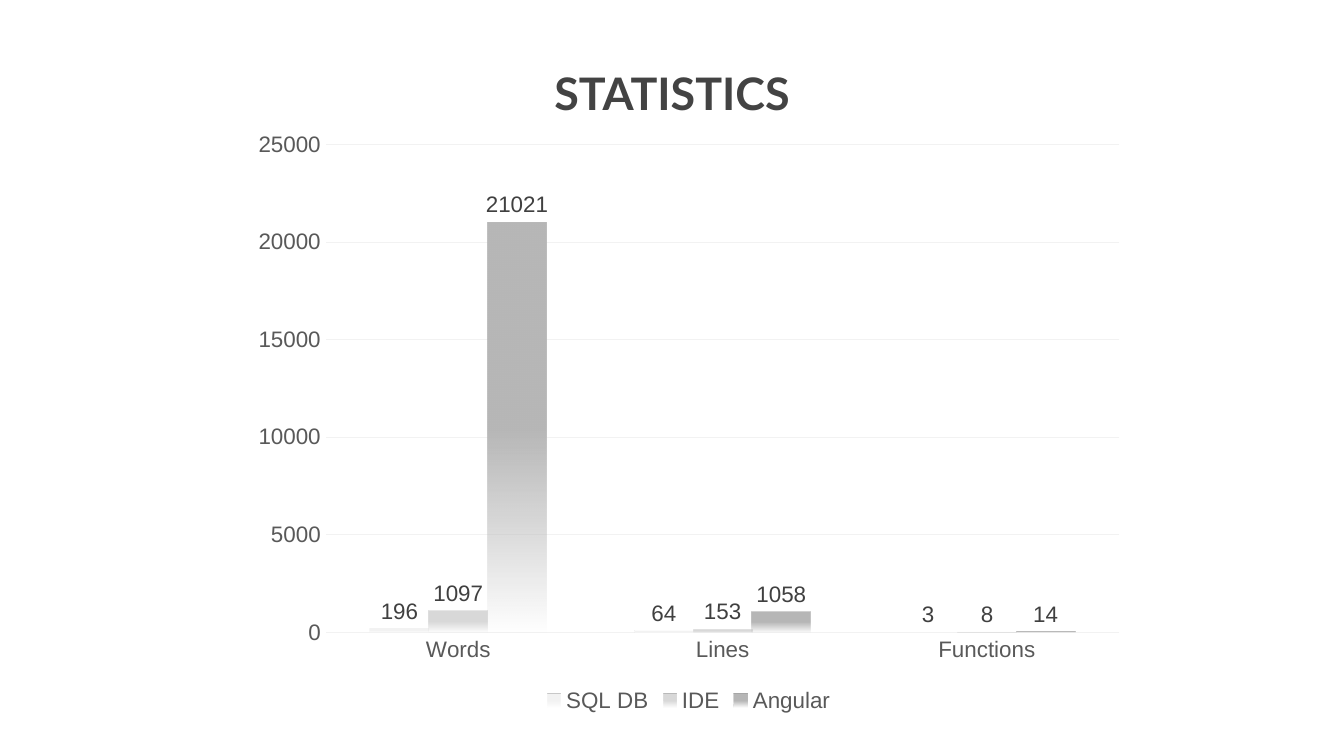
"""Build a statistics slide with a clustered column chart."""
from lxml.etree import SubElement
from pptx import Presentation
from pptx.chart.data import CategoryChartData
from pptx.dml.color import RGBColor
from pptx.enum.chart import XL_CHART_TYPE, XL_LABEL_POSITION, XL_LEGEND_POSITION, XL_TICK_MARK
from pptx.enum.text import MSO_ANCHOR, PP_ALIGN
from pptx.oxml.ns import qn
from pptx.util import Inches, Pt

TITLE = "STATISTICS"
CATEGORIES = ["Words", "Lines", "Functions"]
SERIES = [
    ("SQL DB", (196, 64, 3), "F3F3F3"),
    ("IDE", (1097, 153, 8), "D9D9D9"),
    ("Angular", (21021, 1058, 14), "B7B7B7"),
]
THEME = {
    "title_font": "Lato", "title_size": 24, "title": "434343",
    "font": "Arial", "size": 12, "axis": "595959", "label": "404040",
    "grid": "F2F2F2",
}


def style(font, name, size, color, bold=False):
    font.name, font.size, font.bold = name, Pt(size), bold
    font.color.rgb = RGBColor.from_string(color)


def add_title(s):
    tf = s.shapes.add_textbox(Inches(2.15), Inches(0.39), Inches(5.7), Inches(1.03)).text_frame
    tf.word_wrap = True
    tf.vertical_anchor = MSO_ANCHOR.TOP
    tf.margin_left = tf.margin_right = tf.margin_top = tf.margin_bottom = Inches(0.1)
    p = tf.paragraphs[0]
    p.text = TITLE
    p.alignment = PP_ALIGN.CENTER
    style(p.runs[0].font, THEME["title_font"], THEME["title_size"], THEME["title"], True)


def fade(ser, color):
    fill = ser.format.fill
    fill.gradient()
    fill.gradient_angle = 270
    for stop, position in zip(fill.gradient_stops, (0.5, 1)):
        stop.position = position
        stop.color.rgb = RGBColor.from_string(color)
    clr = list(ser._element.find(qn("c:spPr")).iter(qn("a:srgbClr")))[-1]
    SubElement(clr, qn("a:alpha")).set("val", "0")


def add_chart(s):
    data = CategoryChartData()
    data.categories = CATEGORIES
    for name, values, _ in SERIES:
        data.add_series(name, values)
    chart = s.shapes.add_chart(
        XL_CHART_TYPE.COLUMN_CLUSTERED,
        Inches(1.79), Inches(0.9), Inches(6.67), Inches(4.44), data,
    ).chart
    chart.has_title = False
    style(chart.font, THEME["font"], THEME["size"], THEME["axis"])

    chart.has_legend = True
    chart.legend.position = XL_LEGEND_POSITION.BOTTOM
    chart.legend.include_in_layout = False
    style(chart.legend.font, THEME["font"], THEME["size"], THEME["axis"])

    for axis in (chart.category_axis, chart.value_axis):
        axis.major_tick_mark = axis.minor_tick_mark = XL_TICK_MARK.NONE
        axis.format.line.fill.background()
        style(axis.tick_labels.font, THEME["font"], THEME["size"], THEME["axis"])
    axis = chart.value_axis
    axis.minimum_scale, axis.maximum_scale, axis.major_unit = 0, 25000, 5000
    line = axis.major_gridlines.format.line
    line.width = Pt(0.75)
    line.color.rgb = RGBColor.from_string(THEME["grid"])

    plot = chart.plots[0]
    plot.gap_width, plot.overlap, plot.vary_by_categories = 150, 0, False
    for ser, (_, _, color) in zip(plot.series, SERIES):
        fade(ser, color)
        labels = ser.data_labels
        labels.show_value = True
        labels.position = XL_LABEL_POSITION.OUTSIDE_END
        style(labels.font, THEME["font"], THEME["size"], THEME["label"])


def main():
    prs = Presentation()
    prs.slide_width = Inches(10)
    prs.slide_height = prs.slide_width * 9 // 16
    s = prs.slides.add_slide(prs.slide_layouts[6])
    add_title(s)
    add_chart(s)
    prs.save("out.pptx")


if __name__ == "__main__":
    main()
